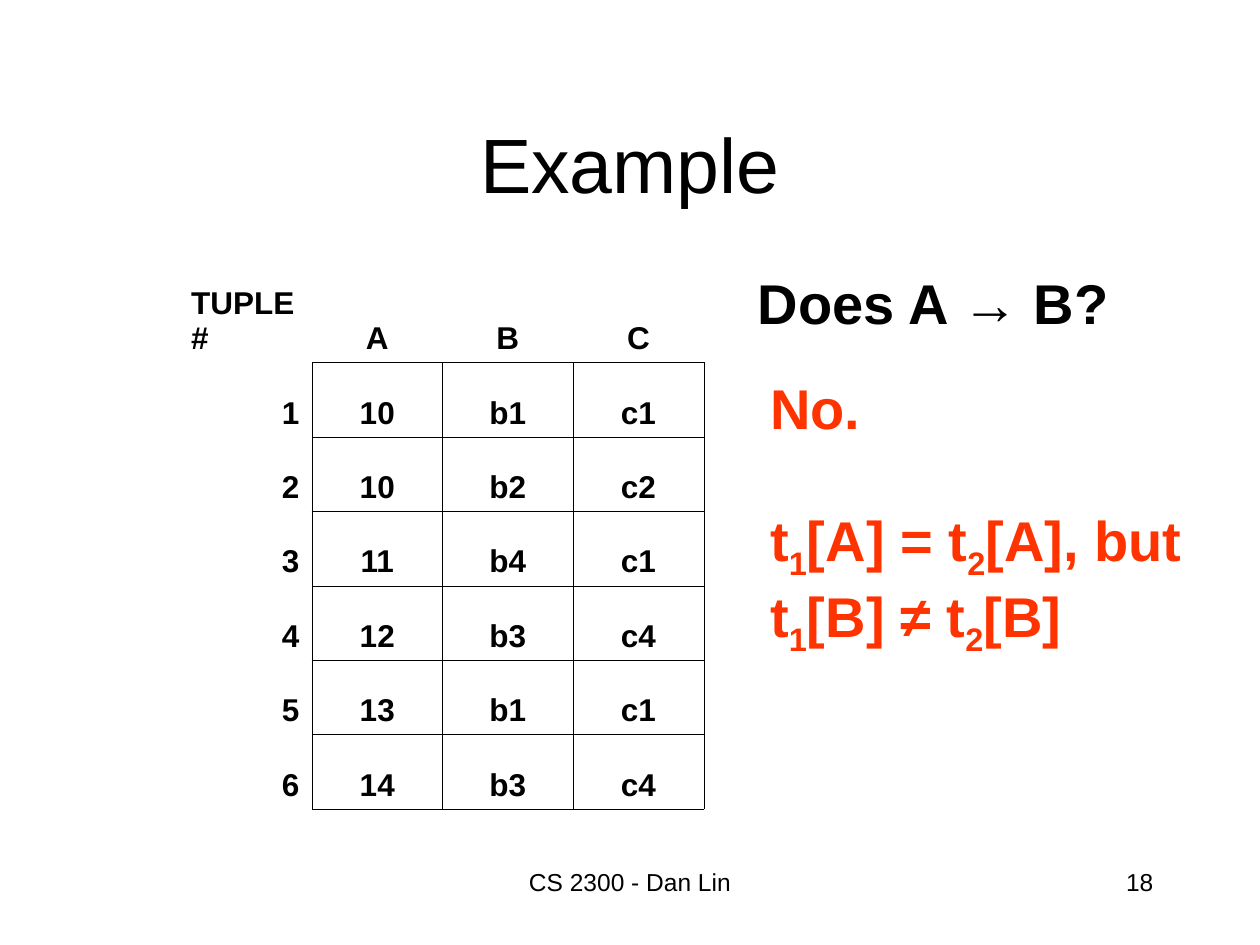
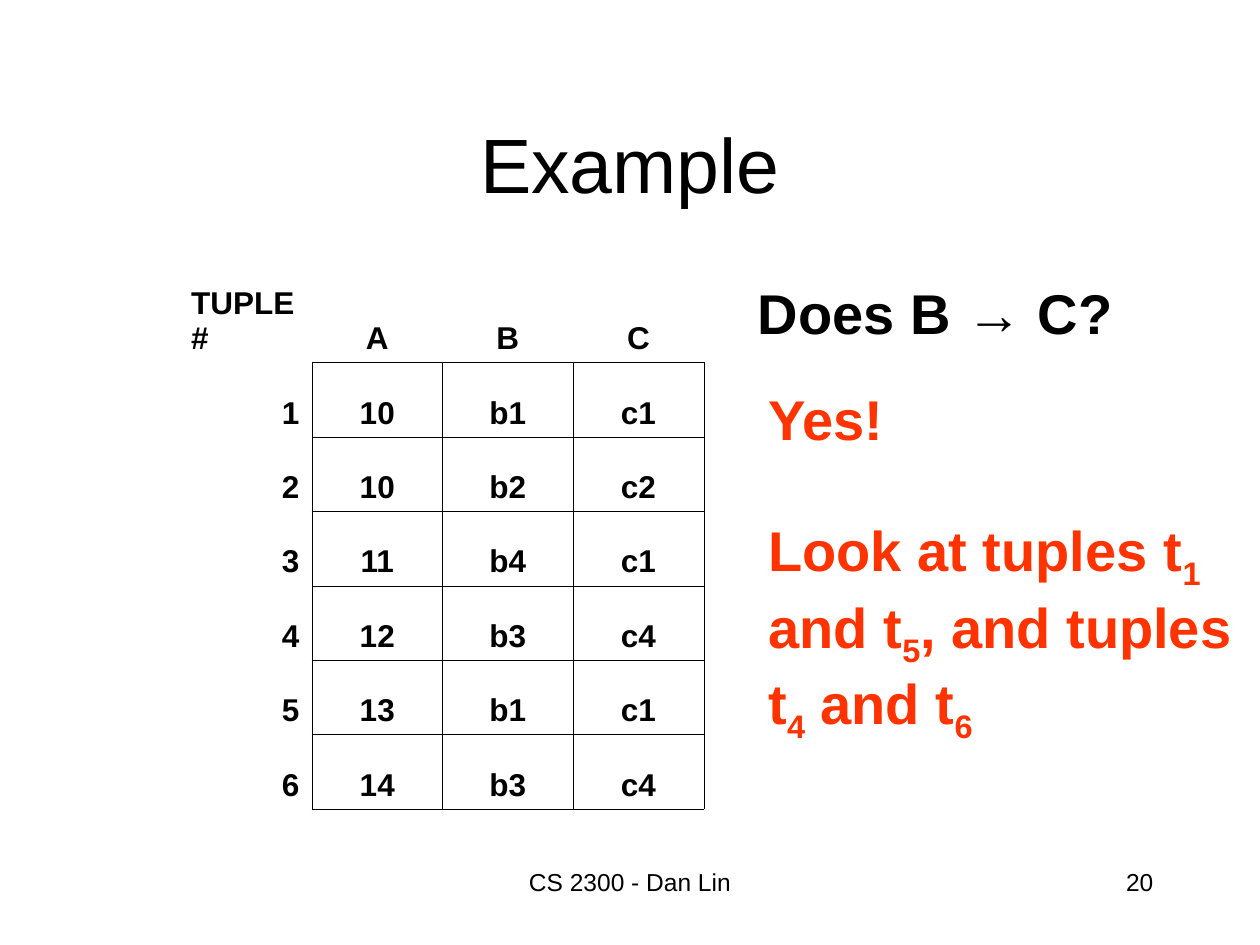
from pptx import Presentation
from pptx.dml.color import RGBColor
from pptx.enum.text import MSO_ANCHOR, MSO_AUTO_SIZE, PP_ALIGN
from pptx.oxml.ns import qn
from pptx.util import Cm, Pt
from lxml import etree

# Shared look
FONT = "Arial"
BLACK = RGBColor(0x00, 0x00, 0x00)
ANSWER_RED = RGBColor(0xFF, 0x33, 0x00)
LEFT, CENTER, RIGHT = PP_ALIGN.LEFT, PP_ALIGN.CENTER, PP_ALIGN.RIGHT
TOP, MIDDLE, BOTTOM = MSO_ANCHOR.TOP, MSO_ANCHOR.MIDDLE, MSO_ANCHOR.BOTTOM
GROW = MSO_AUTO_SIZE.SHAPE_TO_FIT_TEXT
NO_GRID_STYLE = "{2D5ABB26-0587-4C30-8999-92F81FD0307C}"
BORDER_WIDTH = Pt(0.45)

# Relation shown on both slides
TUPLES = [
    ["TUPLE#", "A", "B", "C"],
    ["1", "10", "b1", "c1"],
    ["2", "10", "b2", "c2"],
    ["3", "11", "b4", "c1"],
    ["4", "12", "b3", "c4"],
    ["5", "13", "b1", "c1"],
    ["6", "14", "b3", "c4"],
]
COL_WIDTHS = [Cm(2.69), Cm(2.63), Cm(2.63), Cm(2.64)]
HEADER_HEIGHT, ROW_HEIGHT = Cm(2.44), Cm(1.5)


def add_run(p, text, size, color=BLACK, bold=False, subscript=False):
    r = p.add_run()
    r.text = text
    r.font.name, r.font.size, r.font.bold = FONT, Pt(size), bold
    r.font.color.rgb = color
    if subscript:
        r._r.get_or_add_rPr().set("baseline", "-25000")


def add_text(slide, box, paragraphs, size, color=BLACK, bold=False,
             align=LEFT, anchor=TOP, wrap=True, grow=False, first_gap=0):
    """Each paragraph is a list of parts: normal and subscript in turn."""
    tf = slide.shapes.add_textbox(*map(Cm, box)).text_frame
    tf.word_wrap = wrap
    tf.vertical_anchor = anchor
    if grow:
        tf.auto_size = GROW
    for i, parts in enumerate(paragraphs):
        p = tf.add_paragraph() if i else tf.paragraphs[0]
        p.alignment = align
        for j, part in enumerate(parts):
            add_run(p, part, size, color, bold, subscript=j % 2 == 1)
    if first_gap:
        tf.paragraphs[0].space_after = Pt(first_gap)


def set_borders(cell, sides):
    tc_pr = cell._tc.get_or_add_tcPr()
    for side in "LRTB":
        ln = etree.SubElement(tc_pr, qn(f"a:ln{side}"), w=str(BORDER_WIDTH))
        if side in sides:
            fill = etree.SubElement(ln, qn("a:solidFill"))
            etree.SubElement(fill, qn("a:srgbClr"), val=str(BLACK))
        else:
            etree.SubElement(ln, qn("a:noFill"))


def cell_borders(row, col):
    if row and col:
        return "LRTB"
    if row:
        return "R"
    return "B" if col else ""


def add_tuple_table(slide):
    height = HEADER_HEIGHT + ROW_HEIGHT * (len(TUPLES) - 1)
    frame = slide.shapes.add_table(len(TUPLES), len(COL_WIDTHS), Cm(3.6),
                                   Cm(4.87), sum(COL_WIDTHS), height)
    table = frame.table
    table.first_row = table.horz_banding = False
    table._tbl.tblPr.find(qn("a:tableStyleId")).text = NO_GRID_STYLE
    for column, width in zip(table.columns, COL_WIDTHS):
        column.width = width
    for i, values in enumerate(TUPLES):
        table.rows[i].height = ROW_HEIGHT if i else HEADER_HEIGHT
        for j, value in enumerate(values):
            cell = table.cell(i, j)
            cell.vertical_anchor = BOTTOM
            p = cell.text_frame.paragraphs[0]
            p.alignment = CENTER if j else RIGHT if i else LEFT
            add_run(p, value, 18, bold=True)
            set_borders(cell, cell_borders(i, j))
            cell.fill.background()


def add_example_slide(prs, number, question, question_top, answer_box,
                      answer, wrap_answer):
    slide = prs.slides.add_slide(prs.slide_layouts[6])
    # Title and footer
    add_text(slide, (1.9, 1.7, 21.6, 3.18), [["Example"]], 44,
             align=CENTER, anchor=MIDDLE)
    add_text(slide, (8.68, 17.35, 8.04, 1.27), [["CS 2300 - Dan Lin"]], 14,
             align=CENTER)
    add_text(slide, (18.2, 17.35, 5.3, 1.27), [[number]], 14, align=RIGHT)
    # Relation, question and answer
    add_tuple_table(slide)
    add_text(slide, (15.03, question_top, 7.67, 1.62), [[question]], 32,
             bold=True, wrap=False, grow=True)
    add_text(slide, answer_box, answer, 32, ANSWER_RED, bold=True,
             wrap=wrap_answer, grow=True, first_gap=36.8)


def main():
    prs = Presentation()
    prs.slide_width, prs.slide_height = Cm(25.4), Cm(19.05)
    add_example_slide(
        prs, "18", "Does A → B?", 5.29, (15.28, 7.41, 8.8, 6.05),
        [["No."],
         ["t", "1", "[A] = t", "2", "[A], but"],
         ["t", "1", "[B] ≠ t", "2", "[B]"]],
        wrap_answer=False)
    add_example_slide(
        prs, "20", "Does B → C?", 5.5, (15.24, 7.62, 10.16, 7.6),
        [["Yes!"],
         ["Look at tuples t", "1", " and t", "5", ", and tuples t", "4",
          " and t", "6"]],
        wrap_answer=True)
    prs.save("out.pptx")


if __name__ == "__main__":
    main()
